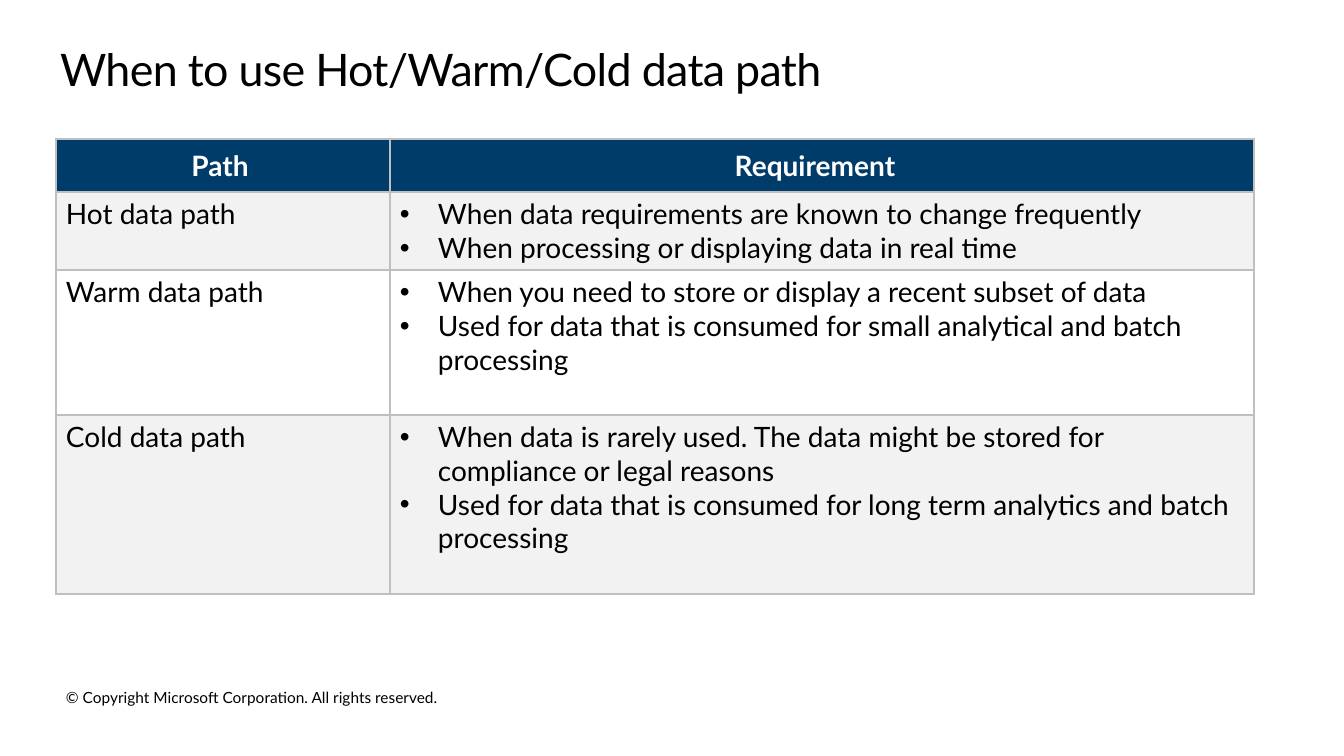
"""Build the slide on choosing a hot, warm or cold data path."""
from dataclasses import dataclass

from lxml.etree import SubElement
from pptx import Presentation
from pptx.dml.color import RGBColor
from pptx.enum.text import MSO_ANCHOR as Anchor, PP_ALIGN as Align
from pptx.oxml.ns import qn
from pptx.util import Pt

TITLE = "When to use Hot/Warm/Cold data path"
COPYRIGHT = "© Copyright Microsoft Corporation. All rights reserved."
HEADERS = ["Path", "Requirement"]
PATHS = [
    ("Hot data path", [
        "When data requirements are known to change frequently",
        "When processing or displaying data in real time",
    ]),
    ("Warm data path", [
        "When you need to store or display a recent subset of data",
        "Used for data that is consumed for small analytical and batch processing",
    ]),
    ("Cold data path", [
        "When data is rarely used. The data might be stored for compliance or legal reasons",
        "Used for data that is consumed for long term analytics and batch processing",
    ]),
]

SLIDE_SIZE = (1344, 756)
TITLE_BOX = (60, 38, 1231, 67)
COPYRIGHT_BOX = (46, 682, 418, 49)
TABLE_ORIGIN = (56, 139)
COLUMN_WIDTHS = [334, 864]
ROW_HEIGHTS = [53, 78, 145, 179]
HEADER_RIGHT_INSETS = [16, 24]
CELL_INSETS = (10, 5, 10, 5)
BULLET_INDENT = 38


@dataclass(frozen=True)
class Theme:
    font: str = "Lato"
    text: str = "000000"
    header_text: str = "FFFFFF"
    header_fill: str = "003C6A"
    bands: tuple = ("F2F2F2", "FFFFFF")
    border: str = "BFBFBF"
    border_width: int = 1
    title_size: int = 32
    table_size: int = 20
    copyright_size: int = 11


THEME = Theme()


def px(length):
    return round(length * 914400 / 100.8)


def add_run(paragraph, text, size, color=THEME.text, bold=False):
    run = paragraph.add_run()
    run.text = text
    run.font.name = THEME.font
    run.font.size = Pt(size)
    run.font.bold = bold
    run.font.color.rgb = RGBColor.from_string(color)
    return run


def set_insets(target, insets):
    (target.margin_left, target.margin_top,
     target.margin_right, target.margin_bottom) = map(px, insets)


def add_text(slide, box, insets, text, size, wrap):
    frame = slide.shapes.add_textbox(*map(px, box)).text_frame
    frame.word_wrap = wrap
    set_insets(frame, insets)
    paragraph = frame.paragraphs[0]
    paragraph.line_spacing = 0.9
    return add_run(paragraph, text, size)


def add_bullet(paragraph):
    properties = paragraph._p.get_or_add_pPr()
    properties.set("marL", str(px(BULLET_INDENT)))
    properties.set("indent", str(-px(BULLET_INDENT)))
    SubElement(properties, qn("a:buFont"), typeface="Arial")
    SubElement(properties, qn("a:buChar"), char="•")


def style_cell(cell, fill, insets=CELL_INSETS):
    set_insets(cell, insets)
    properties = cell._tc.get_or_add_tcPr()
    for side in "LRTB":
        line = SubElement(properties, qn(f"a:ln{side}"), w=str(Pt(THEME.border_width)))
        SubElement(SubElement(line, qn("a:solidFill")), qn("a:srgbClr"), val=THEME.border)
    cell.fill.solid()
    cell.fill.fore_color.rgb = RGBColor.from_string(fill)


def fill_cell(cell, lines, bulleted=False):
    frame = cell.text_frame
    for index, text in enumerate(lines):
        paragraph = frame.add_paragraph() if index else frame.paragraphs[0]
        if bulleted:
            add_bullet(paragraph)
        add_run(paragraph, text, THEME.table_size)


def add_path_table(slide):
    box = (*TABLE_ORIGIN, sum(COLUMN_WIDTHS), sum(ROW_HEIGHTS))
    table = slide.shapes.add_table(
        len(ROW_HEIGHTS), len(COLUMN_WIDTHS), *map(px, box)).table
    for column, width in zip(table.columns, COLUMN_WIDTHS):
        column.width = px(width)
    for row, height in zip(table.rows, ROW_HEIGHTS):
        row.height = px(height)

    for column, (text, right) in enumerate(zip(HEADERS, HEADER_RIGHT_INSETS)):
        cell = table.cell(0, column)
        style_cell(cell, THEME.header_fill, (10, 5, right, 5))
        cell.vertical_anchor = Anchor.MIDDLE
        paragraph = cell.text_frame.paragraphs[0]
        paragraph.alignment = Align.CENTER
        add_run(paragraph, text, THEME.table_size, THEME.header_text, bold=True)

    for row, (name, requirements) in enumerate(PATHS, start=1):
        for column in range(len(HEADERS)):
            style_cell(table.cell(row, column), THEME.bands[(row - 1) % 2])
        fill_cell(table.cell(row, 0), [name])
        fill_cell(table.cell(row, 1), requirements, bulleted=True)


def main():
    presentation = Presentation()
    presentation.slide_width, presentation.slide_height = map(px, SLIDE_SIZE)
    slide = presentation.slides.add_slide(presentation.slide_layouts[6])
    add_text(slide, COPYRIGHT_BOX, (20, 16, 20, 16), COPYRIGHT,
             THEME.copyright_size, wrap=False)
    title = add_text(slide, TITLE_BOX, (0, 10, 16, 10), TITLE,
                     THEME.title_size, wrap=True)
    title.font._element.set("spc", "-50")
    add_path_table(slide)
    presentation.save("out.pptx")


if __name__ == "__main__":
    main()
